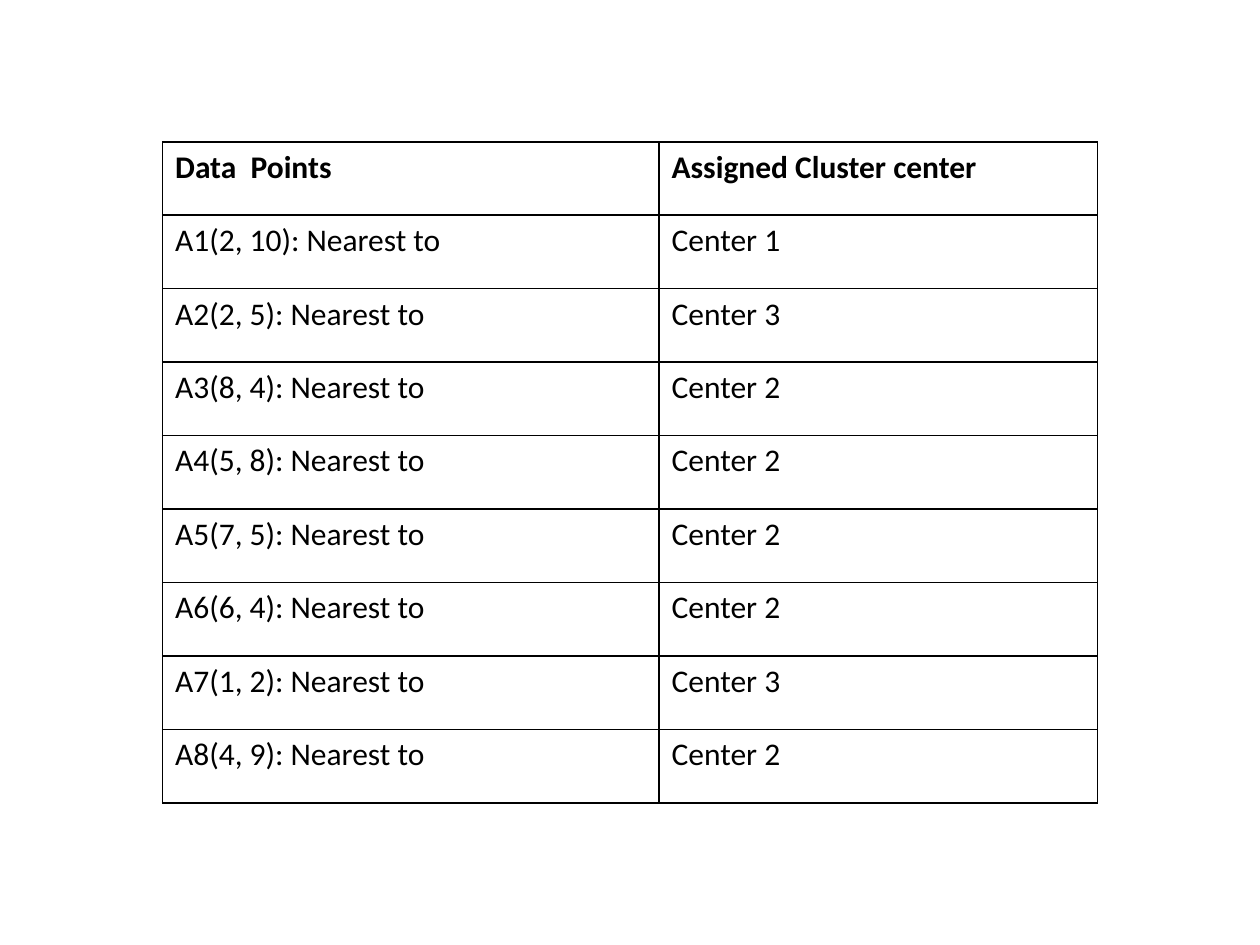
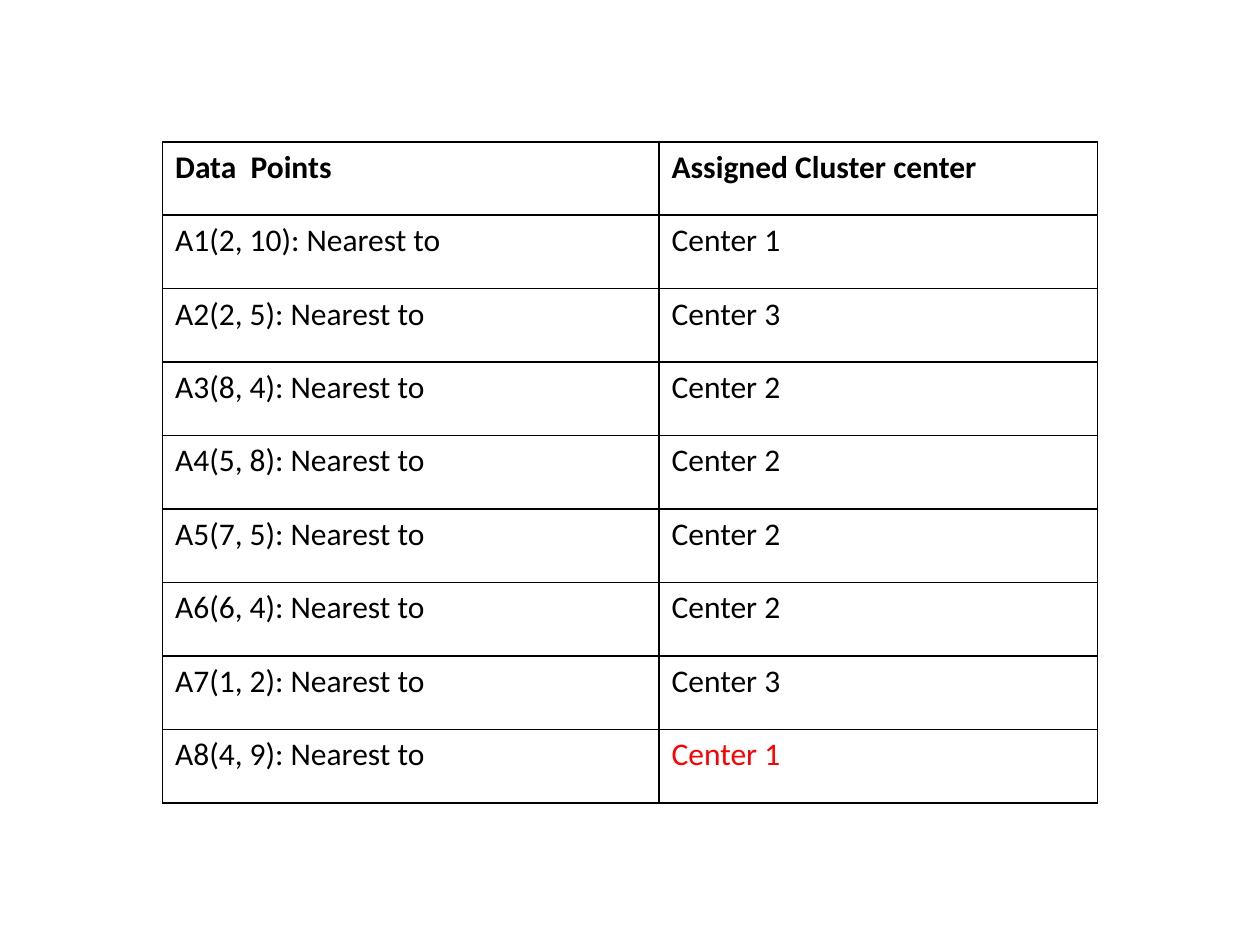
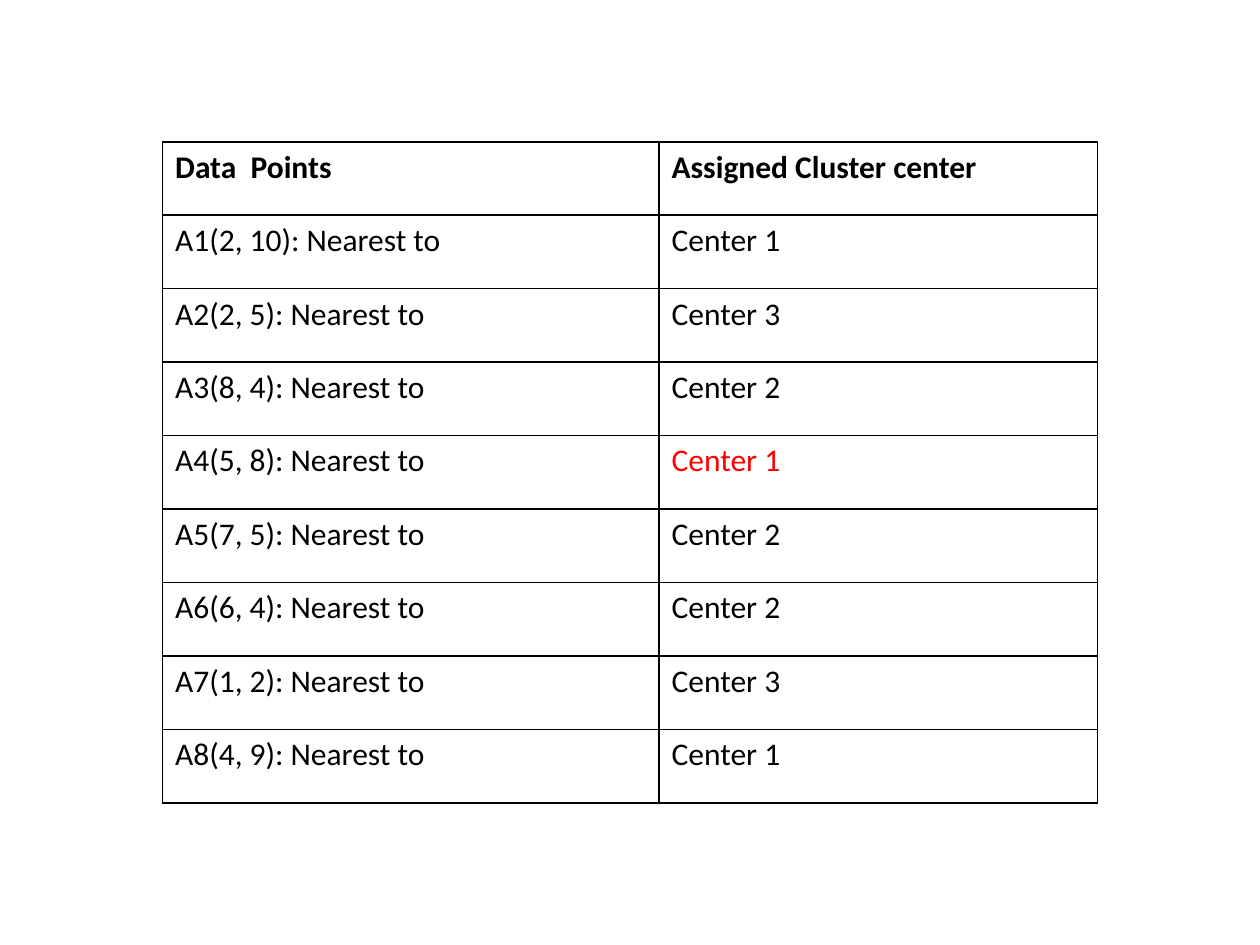
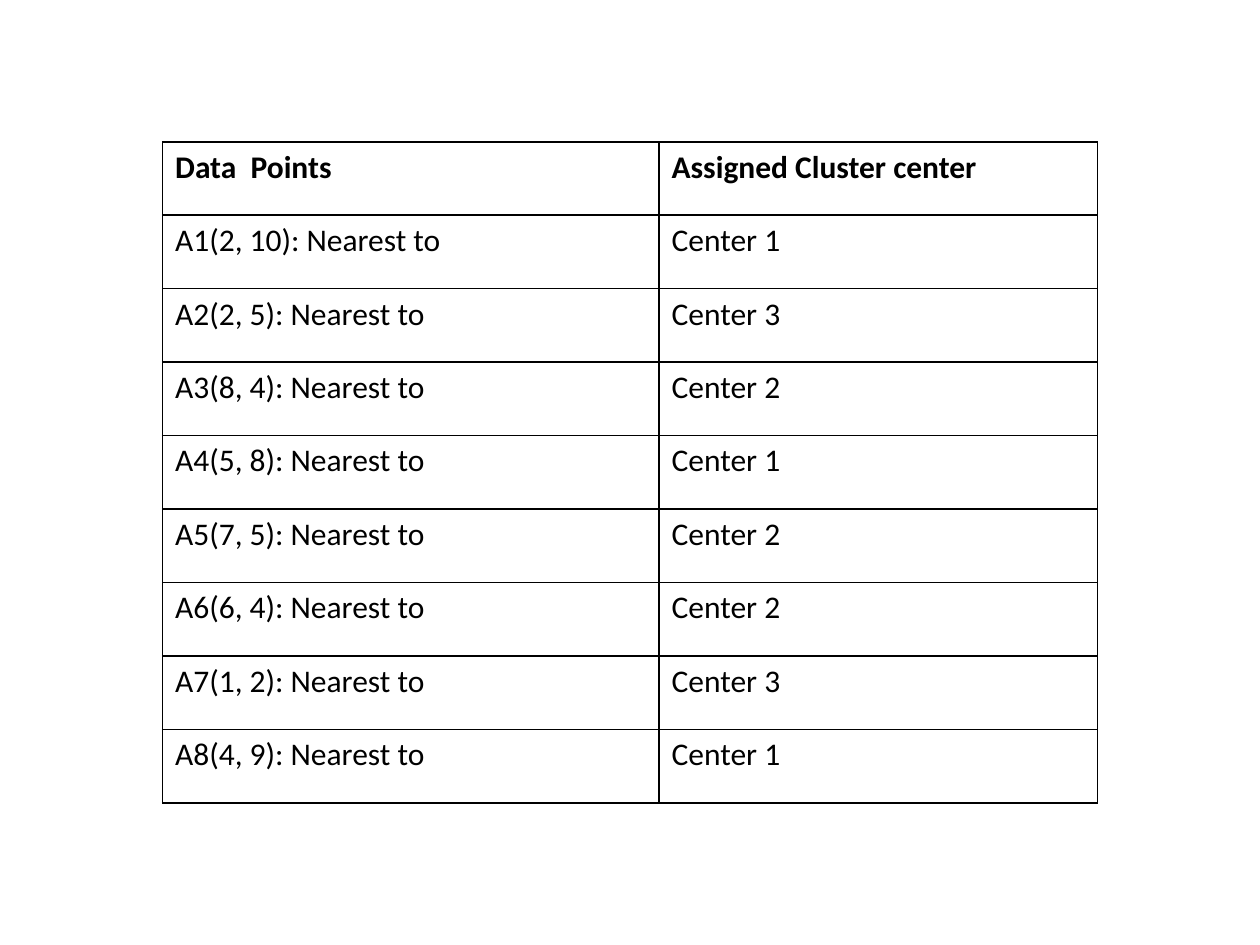
"""Four slides that follow the cluster assignment of eight data points."""
from pptx import Presentation
from pptx.dml.color import RGBColor
from pptx.oxml import parse_xml
from pptx.oxml.ns import nsdecls
from pptx.util import Pt

BLACK = RGBColor(0x00, 0x00, 0x00)
RED = RGBColor(0xFF, 0x00, 0x00)
FONT = "Calibri"
LEFT, TOP = 92.9, 81
COL_WIDTHS = (283.7, 250.6)
ROW_HEIGHT = 42

HEADER = ("Data  Points", "Assigned Cluster center")
POINTS = [(2, 10), (2, 5), (8, 4), (5, 8), (7, 5), (6, 4), (1, 2), (4, 9)]
STEPS = [
    ((1, 3, 2, 2, 2, 2, 3, 2), None),
    ((1, 3, 2, 2, 2, 2, 3, 1), 8),
    ((1, 3, 2, 1, 2, 2, 3, 1), 4),
    ((1, 3, 2, 1, 2, 2, 3, 1), None),
]


def add_borders(cell):
    """Draw a thin black line on each side of a cell."""
    tcPr = cell._tc.get_or_add_tcPr()
    for side in ("lnL", "lnR", "lnT", "lnB"):
        tcPr.append(parse_xml(
            f'<a:{side} {nsdecls("a")} w="{Pt(1)}"><a:solidFill>'
            f'<a:srgbClr val="{BLACK}"/></a:solidFill></a:{side}>'))


prs = Presentation()
prs.slide_width, prs.slide_height = Pt(720), Pt(540)

for centers, changed in STEPS:
    s = prs.slides.add_slide(prs.slide_layouts[6])
    rows = [HEADER]
    for i, ((x, y), center) in enumerate(zip(POINTS, centers), start=1):
        rows.append((f"A{i}({x}, {y}): Nearest to", f"Center {center}"))

    table = s.shapes.add_table(
        len(rows), len(COL_WIDTHS), Pt(LEFT), Pt(TOP),
        Pt(sum(COL_WIDTHS)), Pt(ROW_HEIGHT * len(rows))).table
    table.horz_banding = False
    for column, width in zip(table.columns, COL_WIDTHS):
        column.width = Pt(width)

    for i, row in enumerate(rows):
        table.rows[i].height = Pt(ROW_HEIGHT)
        for j, text in enumerate(row):
            cell = table.cell(i, j)
            add_borders(cell)
            cell.fill.background()
            cell.text_frame.text = text
            font = cell.text_frame.paragraphs[0].runs[0].font
            font.name, font.size, font.bold = FONT, Pt(18), i == 0
            font.color.rgb = RED if (i, j) == (changed, 1) else BLACK

prs.save("out.pptx")
